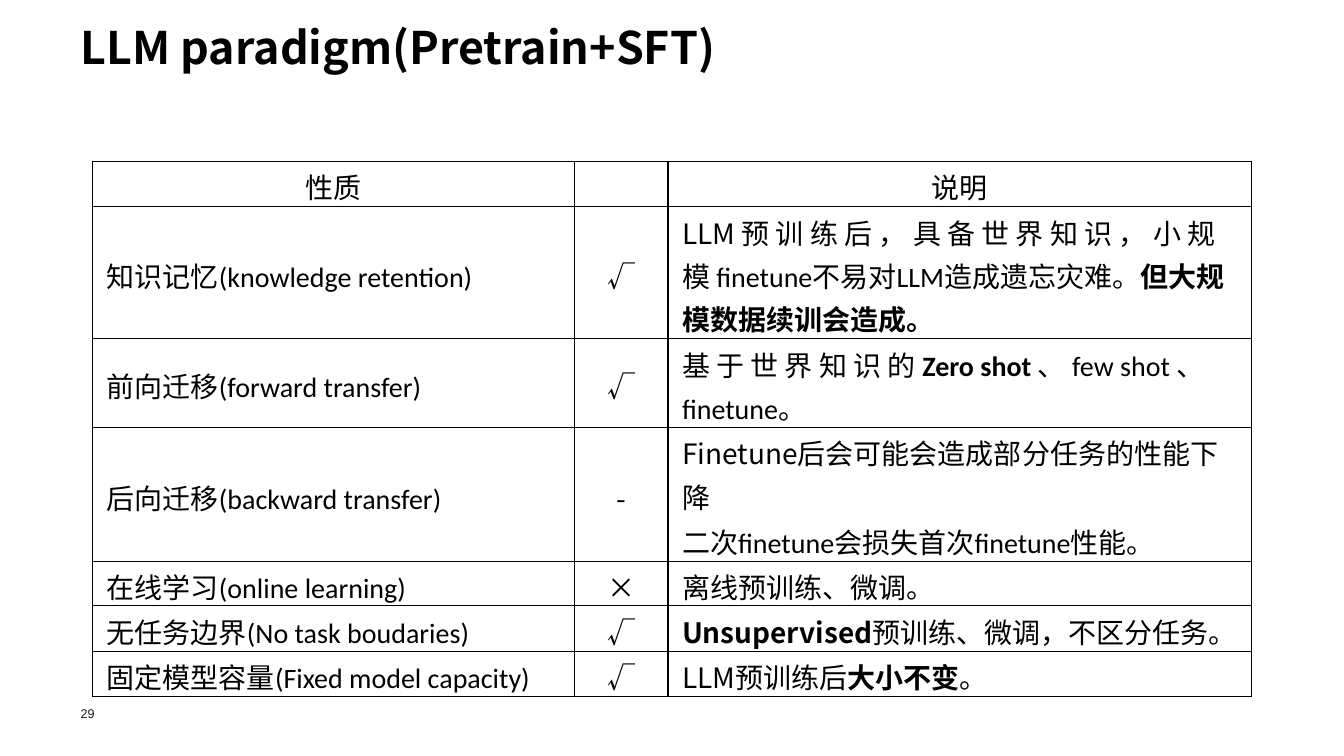
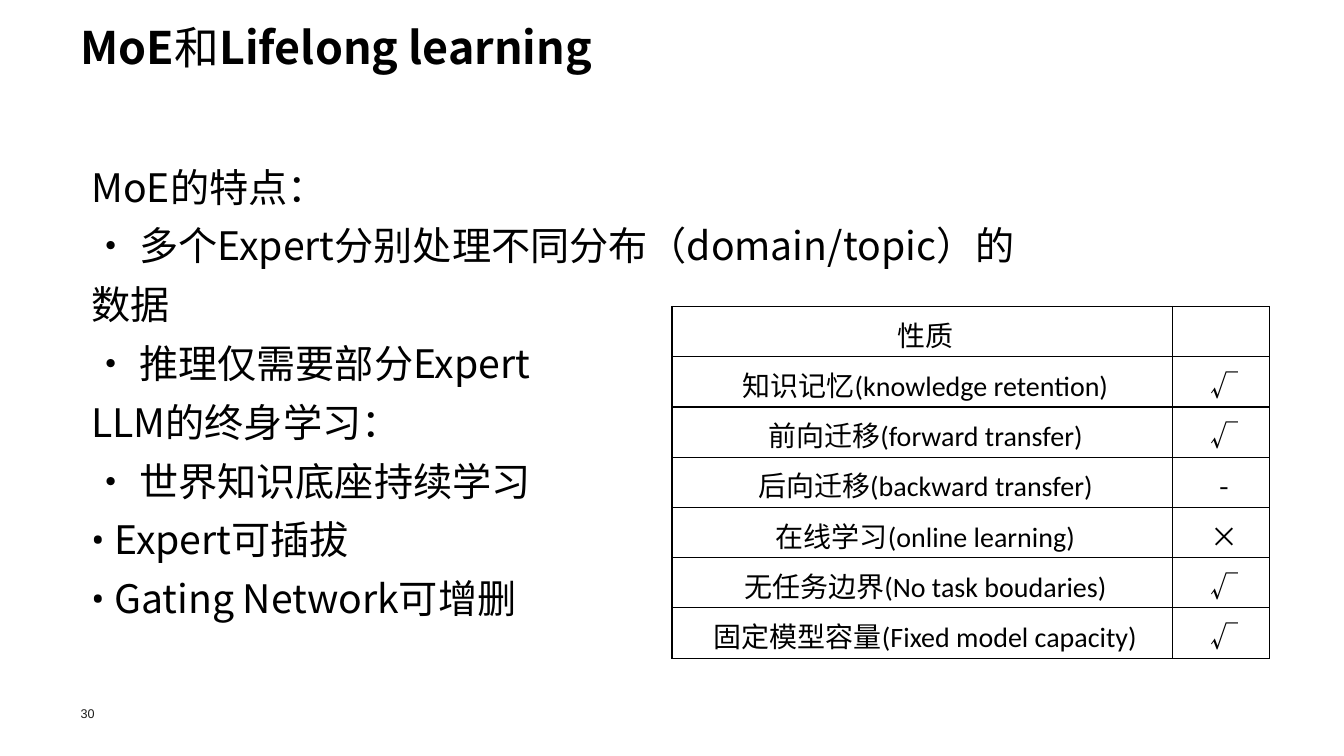
from lxml.etree import SubElement
from pptx import Presentation
from pptx.dml.color import RGBColor
from pptx.enum.text import MSO_ANCHOR as Anchor, PP_ALIGN as Align
from pptx.oxml import parse_xml
from pptx.oxml.ns import nsdecls, qn
from pptx.util import Pt

# Shared look
PX = 9144  # EMU per px, 100 px to the inch
SLIDE_SIZE = (1334, 750)
BLACK, PAGE_GREY, WHITE = "000000", "1D1D1B", "FFFFFF"
SANS, TABLE_FONT, BULLET_FONT, PAGE_FONT = "Noto Sans CJK SC", "Calibri", "Roboto", "Arial"
TITLE_BOX = (80, 25, 1175, 40)
PAGE_BOX = (80, 700, 55, 15)
BOLD = {"bold": True}
IN_SANS = {"font": SANS}
BULLET = ("• ", {"font": BULLET_FONT})

# Content: a paragraph is a list of (text, format) runs
LLM_TITLE = [("LLM paradigm(Pretrain+SFT)", BOLD)]
MOE_TITLE = [("MoE", BOLD), ("和", {}), ("Lifelong learning", BOLD)]

HEADINGS = ("性质", "", "说明")
PROPERTIES = [  # name, mark, row height, explanation
    ("知识记忆(knowledge retention)", "√", 131, [[
        ("LLM ", IN_SANS),
        ("预 训 练 后 ， 具 备 世 界 知 识 ， ⼩ 规 模 finetune不易对LLM造成遗忘灾难。", {}),
        ("但⼤规模数据续训会造成。", BOLD)]]),
    ("前向迁移(forward transfer)", "√", 88, [[
        ("基 于 世 界 知 识 的 ", {}), ("Zero shot ", BOLD),
        ("、 few shot 、 finetune。", {})]]),
    ("后向迁移(backward transfer)", "-", 133, [
        [("Finetune", IN_SANS), ("后会可能会造成部分任务的性能下降", {})],
        [("⼆次finetune会损失⾸次finetune性能。", {})]]),
    ("在线学习(online learning)", "×", 44, [[("离线预训练、微调。", {})]]),
    ("⽆任务边界(No task boudaries)", "√", 45, [[
        ("Unsupervised", {**BOLD, **IN_SANS}), ("预训练、微调，不区分任务。", {})]]),
    ("固定模型容量(Fixed model capacity)", "√", 45, [[
        ("LLM", IN_SANS), ("预训练后", {}), ("⼤⼩不变", BOLD), ("。", {})]]),
]
HEADING_HEIGHT = 45
MOE_TABLE_HEIGHT = 349

MOE_POINTS = [
    ("MoE的特点：", ["多个Expert分别处理不同分布（domain/topic）的数据", "推理仅需要部分Expert"]),
    ("LLM的终⾝学习：", ["世界知识底座持续学习", "Expert可插拔", "Gating Network可增删"]),
]


def colour(hex_code):
    return RGBColor.from_string(hex_code)


def write(frame, paragraphs, font=SANS, size=20, ink=BLACK, align=Align.LEFT,
          spacing=None, after=0, between=0):
    """Fill a text frame; `between` is the space after all but the last paragraph."""
    frame.word_wrap = True
    for index, runs in enumerate(paragraphs):
        paragraph = frame.paragraphs[0] if index == 0 else frame.add_paragraph()
        paragraph.alignment = align
        if spacing:
            paragraph.line_spacing = spacing
        paragraph.space_after = Pt(after if index == len(paragraphs) - 1 else between)
        for text, style in runs:
            run = paragraph.add_run()
            run.text = text
            run.font.size = Pt(size)
            run.font.bold = style.get("bold", False)
            run.font.color.rgb = colour(ink)
            run.font.name = style.get("font", font)
            east_asian = SubElement(run.font._element, qn("a:ea"))
            east_asian.set("typeface", SANS)


def add_text(slide, box, paragraphs, inset=(0, 0), **style):
    frame = slide.shapes.add_textbox(*(v * PX for v in box)).text_frame
    frame.margin_left = frame.margin_right = inset[0] * PX
    frame.margin_top = frame.margin_bottom = inset[1] * PX
    write(frame, paragraphs, **style)


def add_borders(cell):
    for position, side in enumerate(("lnL", "lnR", "lnT", "lnB")):
        cell._tc.get_or_add_tcPr().insert(position, parse_xml(
            f'<a:{side} {nsdecls("a")} w="12700"><a:solidFill>'
            f'<a:srgbClr val="{BLACK}"/></a:solidFill></a:{side}>'))


def add_grid(slide, corner, widths, heights, rows, aligns, right_inset):
    """Draw a ruled table; the first row is centred, the others follow `aligns`."""
    box = (*corner, sum(widths), sum(heights))
    table = slide.shapes.add_table(len(heights), len(widths), *(round(v * PX) for v in box)).table
    table.first_row = table.horz_banding = False
    for column, width in zip(table.columns, widths):
        column.width = width * PX
    for r, (height, row) in enumerate(zip(heights, rows)):
        table.rows[r].height = round(height * PX)
        for c, paragraphs in enumerate(row):
            cell = table.cell(r, c)
            cell.fill.background()
            add_borders(cell)
            cell.vertical_anchor = Anchor.MIDDLE
            cell.margin_left, cell.margin_right = 14 * PX, right_inset * PX
            cell.margin_top, cell.margin_bottom = 2 * PX, 0
            write(cell.text_frame, paragraphs, font=TABLE_FONT, spacing=1.07, after=8,
                  between=1.5, align=aligns[c] if r else Align.CENTER)


def add_page(deck, title, number):
    slide = deck.slides.add_slide(deck.slide_layouts[6])
    slide.background.fill.solid()
    slide.background.fill.fore_color.rgb = colour(WHITE)
    add_text(slide, PAGE_BOX, [[(str(number), {})]], font=PAGE_FONT, size=9, ink=PAGE_GREY)
    add_text(slide, TITLE_BOX, [title], size=32, spacing=Pt(34.3))
    return slide


def main():
    deck = Presentation()
    deck.slide_width, deck.slide_height = (v * PX for v in SLIDE_SIZE)

    # Rows shared by both tables
    heading_row = [[[(text, {})]] if text else [] for text in HEADINGS]
    property_rows = [([[(name, {})]], [[(mark, IN_SANS)]], explanation)
                     for name, mark, _, explanation in PROPERTIES]
    rows = [heading_row, *property_rows]

    # LLM paradigm: full table
    llm = add_page(deck, LLM_TITLE, 29)
    heights = [HEADING_HEIGHT] + [height for _, _, height, _ in PROPERTIES]
    add_grid(llm, (92, 160), (478, 93, 579), heights, rows,
             (Align.LEFT, Align.CENTER, Align.LEFT), right_inset=14)

    # MoE: points, and the table without explanations
    moe = add_page(deck, MOE_TITLE, 30)
    lines = []
    for heading, points in MOE_POINTS:
        lines.append([(heading, {})])
        lines += [[BULLET, (point, {})] for point in points]
    add_text(moe, (81, 145, 957, 418), lines, inset=(10, 5), size=28, spacing=1.25)
    add_grid(moe, (667, 304), (497, 96), [MOE_TABLE_HEIGHT / len(rows)] * len(rows),
             [row[:2] for row in rows], (Align.CENTER, Align.CENTER), right_inset=8)

    deck.save("out.pptx")


if __name__ == "__main__":
    main()
